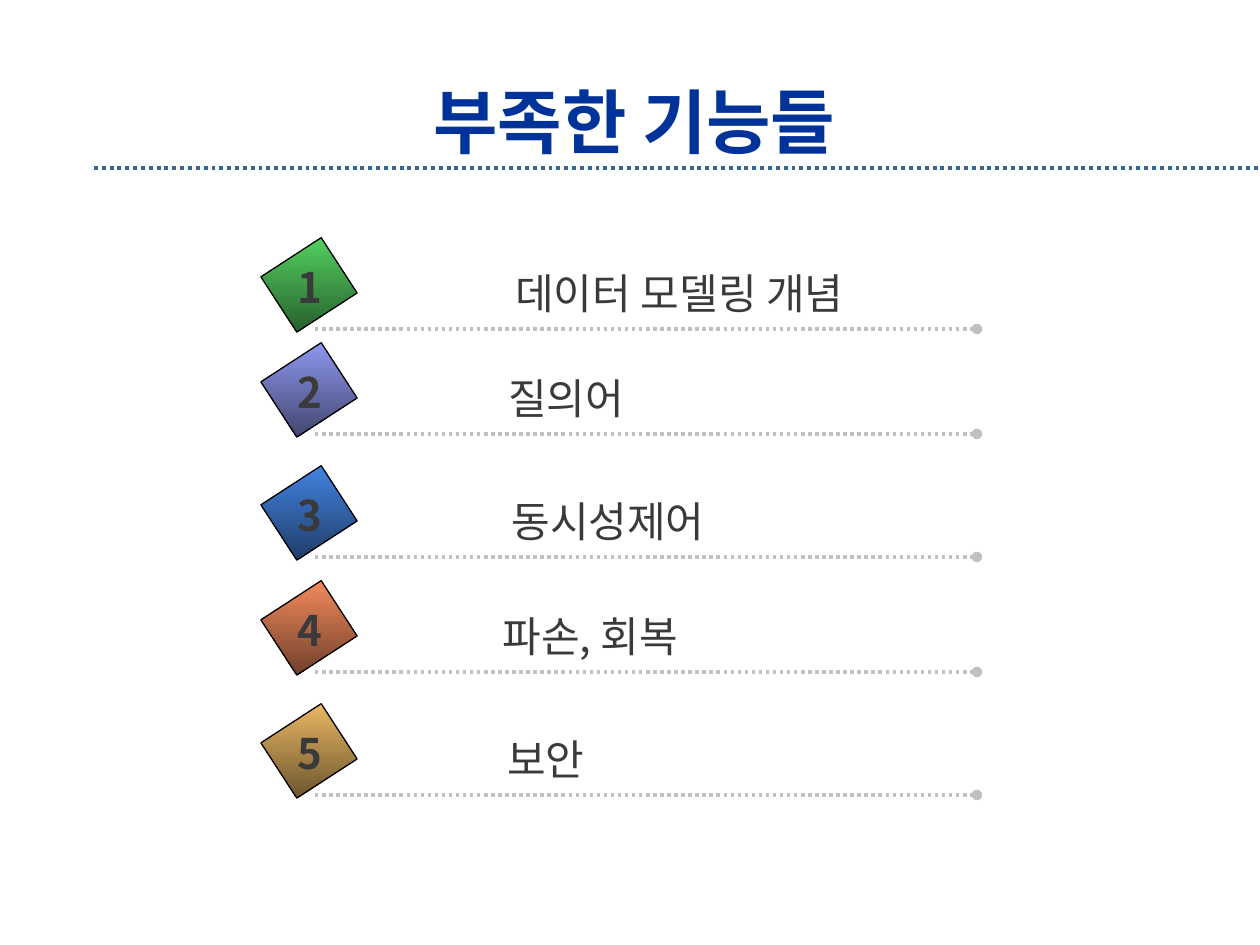
from lxml import etree
from pptx import Presentation
from pptx.dml.color import RGBColor
from pptx.enum.dml import MSO_LINE
from pptx.enum.shapes import MSO_CONNECTOR, MSO_SHAPE
from pptx.enum.text import MSO_ANCHOR, MSO_AUTO_SIZE, PP_ALIGN
from pptx.oxml.ns import qn
from pptx.util import Pt

STRAIGHT = MSO_CONNECTOR.STRAIGHT
RECTANGLE = MSO_SHAPE.RECTANGLE
DOTTED = MSO_LINE.ROUND_DOT  # written as sysDot

# Content: label, label left, rule height, gradient start and end
TITLE = "부족한 기능들"
ITEMS = [
    ("데이터 모델링 개념", 503, 329, "54D060", "27602C"),
    ("질의어", 496, 434, "8E97EE", "42466E"),
    ("동시성제어", 499, 557, "4383E1", "1F3D68"),
    ("파손, 회복", 490, 672, "F28A5C", "70402B"),
    ("보안", 495, 795, "EAB764", "6C552E"),
]
COLORS = {"title": "003399", "title_rule": "336699", "rule": "C0C0C0",
          "text": "3A3A3A", "outline": "000000"}
FONT = "Noto Sans CJK KR"
SCALE = 914400 // 126


def px(*lengths):
    return [round(length * SCALE) for length in lengths]


def rgb(value):
    return RGBColor.from_string(value)


def write(frame, text, size, color, bold=False):
    run = frame.paragraphs[0].add_run()
    run.text = text
    font = run.font
    font.name, font.size, font.bold = FONT, Pt(size), bold
    font.color.rgb = rgb(color)
    properties = run._r.get_or_add_rPr()
    properties.find(qn("a:latin")).addnext(
        properties.makeelement(qn("a:ea"), {"typeface": FONT}))


def add_rule(shapes, left, right, y, color, width, dot=False):
    rule = shapes.add_connector(STRAIGHT, *px(left, y, right, y))
    rule.line.color.rgb = rgb(color)
    rule.line.width = Pt(width)
    rule.line.dash_style = DOTTED
    if dot:
        etree.SubElement(rule.line._get_or_add_ln(), qn("a:tailEnd"), type="oval")
    etree.SubElement(rule._element.spPr, qn("a:effectLst"))


def add_label(shapes, text, left, top, width, bold=False):
    box = shapes.add_textbox(*px(left, top, width, 63))
    box.text_frame.word_wrap = False
    write(box.text_frame, text, 24, COLORS["text"], bold)


def add_diamond(shapes, top, start, end):
    diamond = shapes.add_shape(RECTANGLE, *px(276, top, 66, 72))
    diamond.rotation = 57
    diamond.shadow.inherit = False
    diamond.fill.gradient()
    diamond.fill.gradient_angle = 360 - 33
    for stop, color in zip(diamond.fill.gradient_stops, (start, end)):
        stop.color.rgb = rgb(color)
    diamond.line.color.rgb = rgb(COLORS["outline"])
    diamond.line.width = Pt(0.74)


presentation = Presentation()
presentation.slide_width, presentation.slide_height = px(1260, 945)
slide = presentation.slides.add_slide(presentation.slide_layouts[5])

# Title and its rule
title = slide.shapes.title
title.left, title.top, title.width, title.height = px(94, 84, 1081, 73)
frame = title.text_frame
frame.auto_size = MSO_AUTO_SIZE.NONE
frame.vertical_anchor = MSO_ANCHOR.MIDDLE
write(frame, TITLE, 40, COLORS["title"], True)
frame.paragraphs[0].alignment = PP_ALIGN.CENTER
add_rule(slide.shapes, 94, 1260, 168, COLORS["title_rule"], 2.24)

# Numbered items, each a group hung from its rule
for number, (label, left, y, start, end) in enumerate(ITEMS, 1):
    shapes = slide.shapes.add_group_shape().shapes
    add_rule(shapes, 315, 977, y, COLORS["rule"], 2, dot=True)
    add_diamond(shapes, y - 80, start, end)
    add_label(shapes, label, left, y - 68, 39 * len(label) + 25)
    add_label(shapes, str(number), 285, y - 74, 48, bold=True)

presentation.save("out.pptx")
